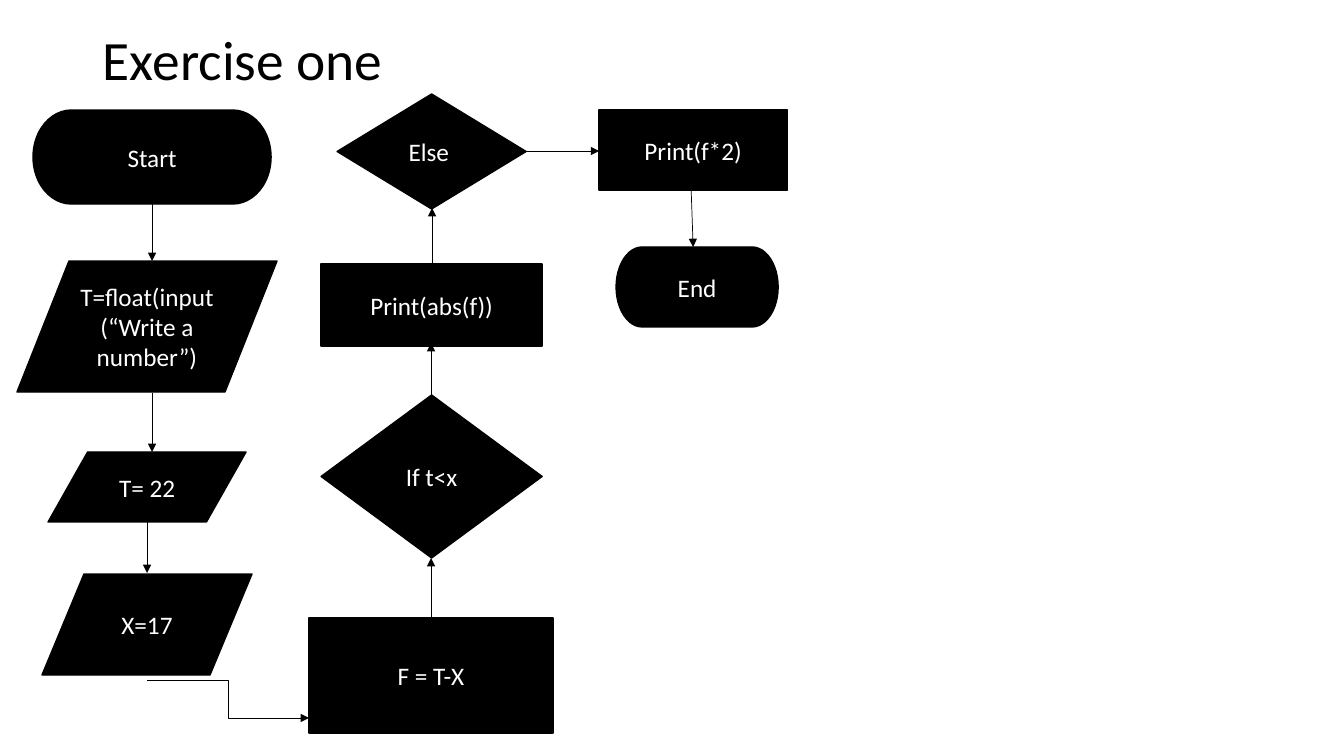
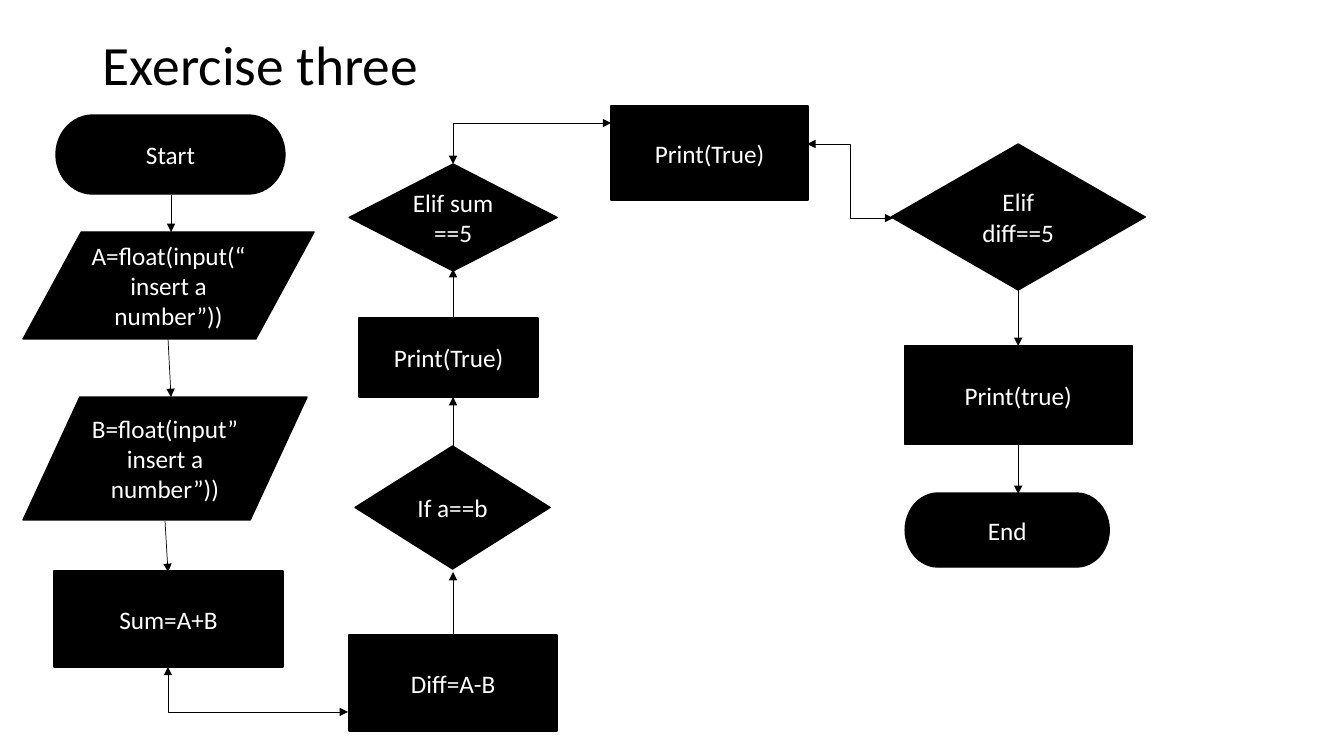
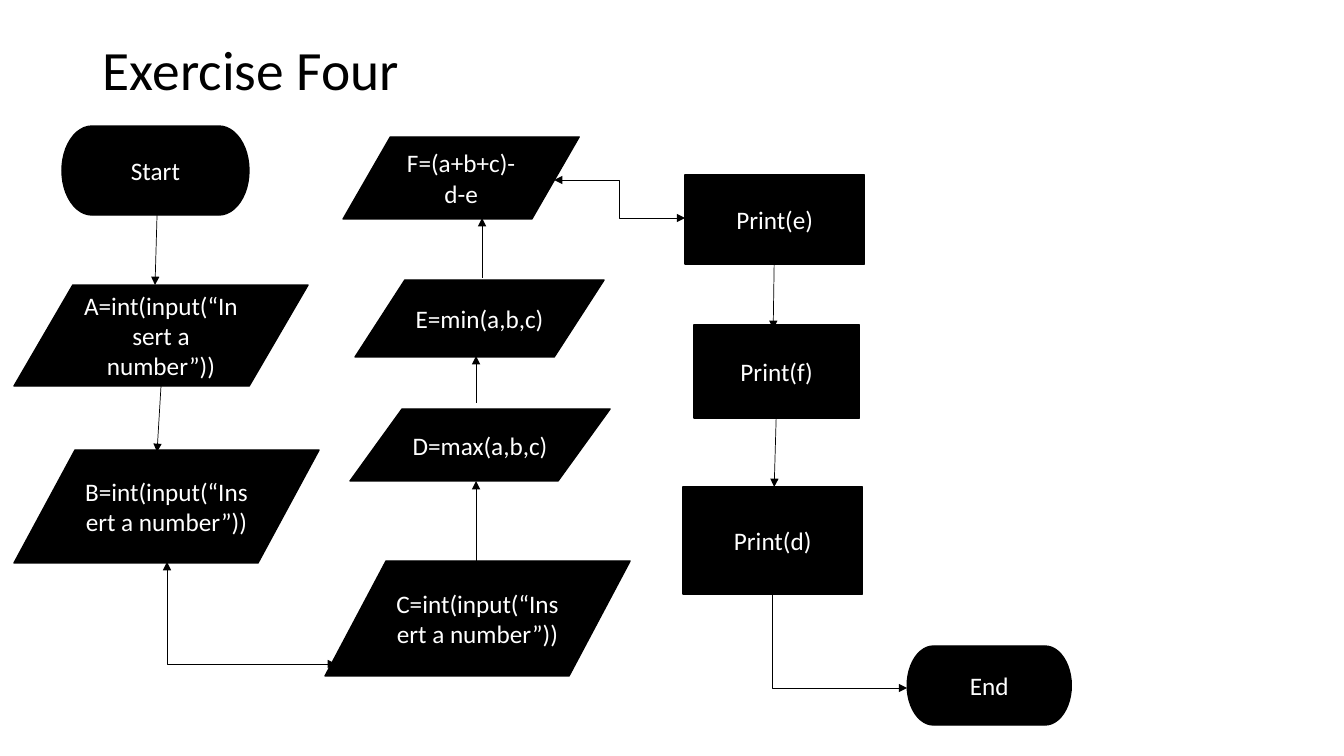
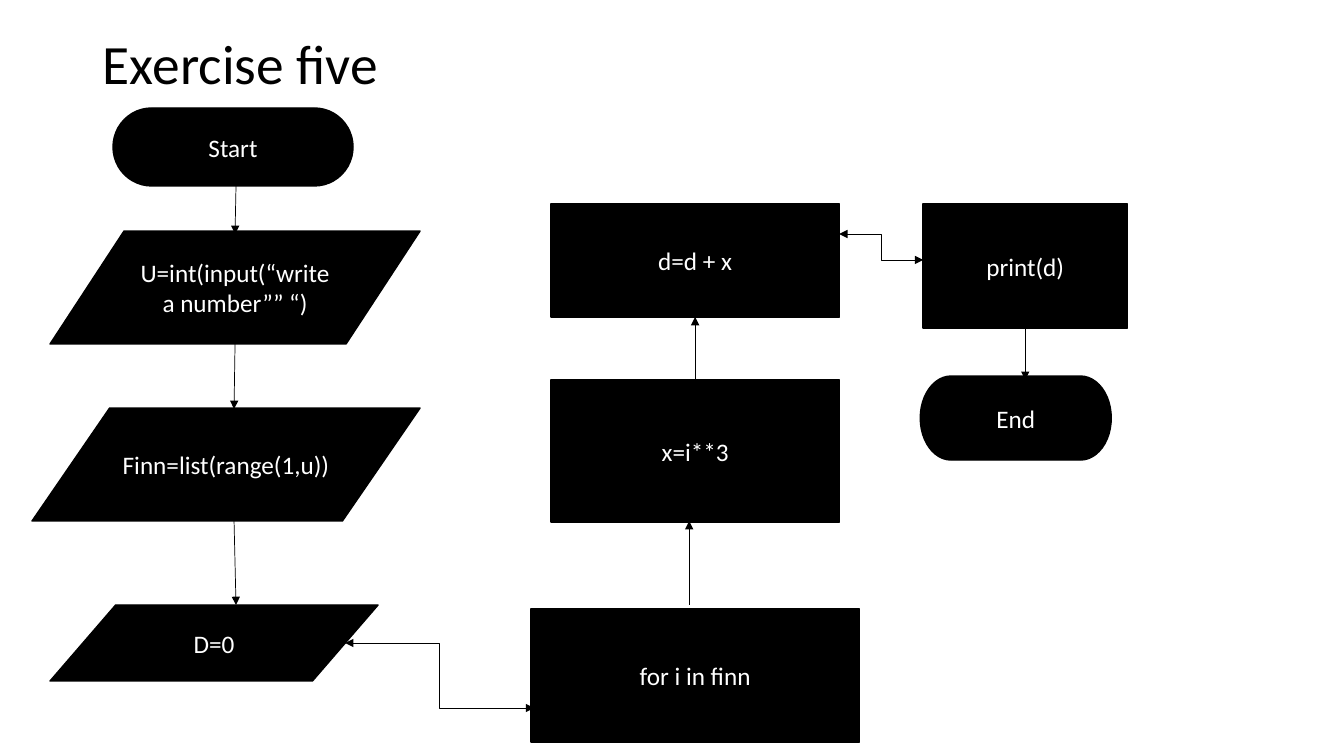
from lxml import etree
from pptx import Presentation
from pptx.dml.color import RGBColor
from pptx.enum.shapes import MSO_CONNECTOR, MSO_SHAPE
from pptx.enum.text import MSO_ANCHOR, PP_ALIGN
from pptx.oxml.ns import qn
from pptx.util import Emu, Inches, Pt

TERMINAL = MSO_SHAPE.FLOWCHART_TERMINATOR
DATA = MSO_SHAPE.FLOWCHART_DATA
PROCESS = MSO_SHAPE.FLOWCHART_PROCESS
DECISION = MSO_SHAPE.FLOWCHART_DECISION
STRAIGHT = MSO_CONNECTOR.STRAIGHT
ELBOW = MSO_CONNECTOR.ELBOW
MIDDLE = MSO_ANCHOR.MIDDLE
CENTER = PP_ALIGN.CENTER
SCALE = 914400 / 100.8


def px(n):
    return Emu(round(n * SCALE))


def rgb(value):
    return RGBColor.from_string(value)


class Flowchart:
    font = "Calibri"
    ink = "000000"
    paper = "FFFFFF"
    title_size = 39.6
    node_size = 18
    border = 1
    stroke = 0.5

    def __init__(self, prs):
        self.prs = prs
        self.s = None

    def slide(self, title, top, height):
        self.s = self.prs.slides.add_slide(self.prs.slide_layouts[6])
        sp = self.s.shapes.add_textbox(px(93), px(top), px(1159), px(height))
        self.set_text(sp.text_frame, title, self.title_size, self.ink)
        sp.text_frame.paragraphs[0].line_spacing = 0.9

    def set_text(self, tf, text, size, color):
        tf.word_wrap = True
        tf.vertical_anchor = MIDDLE
        tf.text = text
        font = tf.paragraphs[0].runs[0].font
        font.name = self.font
        font.size = Pt(size)
        font.color.rgb = rgb(color)

    def node(self, kind, text, x, y, w, h):
        sp = self.s.shapes.add_shape(kind, px(x), px(y), px(w), px(h))
        sp.shadow.inherit = False
        sp.fill.solid()
        sp.fill.fore_color.rgb = rgb(self.ink)
        sp.line.color.rgb = rgb(self.ink)
        sp.line.width = Pt(self.border)
        self.set_text(sp.text_frame, text, self.node_size, self.paper)
        sp.text_frame.paragraphs[0].alignment = CENTER

    def connect(self, kind, x1, y1, x2, y2, ends):
        c = self.s.shapes.add_connector(kind, px(x1), px(y1), px(x2), px(y2))
        c.line.color.rgb = rgb(self.ink)
        c.line.width = Pt(self.stroke)
        ln = c.element.spPr.find(qn("a:ln"))
        for end in ends:
            etree.SubElement(ln, qn(f"a:{end}"), type="triangle")
        etree.SubElement(c.element.spPr, qn("a:effectLst"))
        return c

    def arrow(self, x1, y1, x2, y2):
        self.connect(STRAIGHT, x1, y1, x2, y2, ["tailEnd"])

    def step(self, x1, y1, x2, y2, both=True):
        ends = ["headEnd", "tailEnd"] if both else ["tailEnd"]
        self.connect(ELBOW, x1, y1, x2, y2, ends)

    def corner(self, x1, y1, x2, y2, both=True):
        ends = ["headEnd", "tailEnd"] if both else ["headEnd"]
        c = self.connect(ELBOW, x2, y2, x1, y1, ends)
        c.element.spPr.find(qn("a:prstGeom")).set("prst", "bentConnector2")


def exercise_one(f):
    f.slide("Exercise one", 28, 70)
    f.node(TERMINAL, "Start", 33, 110, 238, 94)
    f.arrow(152, 204, 152, 261)
    f.node(DATA, "T=float(input(“Write a number”)", 17, 261, 260, 131)
    f.arrow(152, 393, 152, 452)
    f.node(DATA, "T= 22", 48, 452, 198, 70)
    f.arrow(147, 521, 147, 573)
    f.node(DATA, "X=17", 42, 574, 210, 101)
    f.step(147, 680, 309, 718, both=False)
    f.node(PROCESS, "F = T-X", 309, 618, 244, 115)
    f.arrow(431, 618, 431, 558)
    f.node(DECISION, "If t<x", 321, 395, 221, 163)
    f.arrow(431, 395, 431, 343)
    f.node(PROCESS, "Print(abs(f))", 321, 264, 221, 82)
    f.arrow(432, 264, 432, 208)
    f.node(DECISION, "Else ", 337, 94, 189, 115)
    f.arrow(526, 151, 599, 151)
    f.node(PROCESS, "Print(f*2)", 599, 110, 188, 80)
    f.arrow(691, 190, 693, 247)
    f.node(TERMINAL, "End", 616, 247, 162, 80)


def exercise_three(f):
    f.slide("Exercise three", 40, 56)
    f.node(TERMINAL, "Start", 56, 115, 229, 79)
    f.arrow(171, 195, 171, 232)
    f.node(DATA, "A=float(input(“insert a number”))", 23, 232, 291, 107)
    f.arrow(168, 339, 171, 397)
    f.node(DATA, "B=float(input”insert a number”))", 23, 397, 284, 123)
    f.arrow(165, 521, 168, 572)
    f.node(PROCESS, "Sum=A+B", 54, 571, 229, 96)
    f.corner(168, 667, 348, 712)
    f.node(PROCESS, "Diff=A-B", 349, 635, 208, 96)
    f.arrow(453, 635, 453, 572)
    f.node(DECISION, "If a==b", 355, 446, 195, 123)
    f.arrow(453, 446, 453, 397)
    f.node(PROCESS, "Print(True)", 359, 318, 179, 79)
    f.arrow(453, 318, 453, 269)
    f.node(DECISION, "Elif sum ==5", 349, 164, 208, 107)
    f.corner(453, 164, 611, 123)
    f.node(PROCESS, "Print(True)", 611, 106, 197, 94)
    f.step(807, 144, 893, 218)
    f.node(DECISION, "Elif diff==5", 891, 144, 254, 146)
    f.arrow(1018, 290, 1018, 346)
    f.node(PROCESS, "Print(true)", 904, 346, 228, 98)
    f.arrow(1018, 444, 1018, 494)
    f.node(TERMINAL, "End", 905, 493, 204, 74)


def exercise_four(f):
    f.slide("Exercise Four", 40, 65)
    f.node(TERMINAL, "Start", 62, 126, 187, 89)
    f.arrow(157, 215, 155, 285)
    f.node(DATA, "A=int(input(“Insert a number”))", 14, 285, 294, 101)
    f.arrow(161, 386, 157, 452)
    f.node(DATA, "B=int(input(“Insert a number”))", 14, 450, 305, 113)
    f.corner(167, 562, 336, 664)
    f.node(DATA, "C=int(input(“Insert a number”))", 325, 561, 305, 115)
    f.arrow(476, 562, 476, 481)
    f.node(DATA, "D=max(a,b,c)", 350, 409, 260, 72)
    f.arrow(476, 403, 476, 356)
    f.node(DATA, "E=min(a,b,c)", 355, 280, 249, 77)
    f.arrow(482, 278, 482, 218)
    f.node(DATA, "F=(a+b+c)-d-e", 343, 137, 236, 82)
    f.step(554, 180, 685, 218)
    f.node(PROCESS, "Print(e)", 685, 175, 179, 89)
    f.arrow(774, 263, 773, 329)
    f.node(PROCESS, "Print(f)", 694, 325, 165, 93)
    f.arrow(776, 418, 774, 487)
    f.node(PROCESS, "Print(d)", 683, 487, 179, 107)
    f.corner(772, 594, 907, 688, both=False)
    f.node(TERMINAL, "End", 907, 646, 164, 79)


def exercise_five(f):
    f.slide("Exercise five", 40, 53)
    f.node(TERMINAL, "Start", 113, 108, 240, 78)
    f.arrow(236, 185, 235, 234)
    f.node(DATA, "U=int(input(“write a number”” “)", 50, 231, 370, 113)
    f.arrow(235, 344, 234, 409)
    f.node(DATA, "Finn=list(range(1,u))", 32, 408, 388, 113)
    f.arrow(234, 521, 236, 605)
    f.node(DATA, "D=0", 50, 605, 328, 76)
    f.step(345, 643, 534, 708)
    f.node(PROCESS, "for i in finn", 531, 609, 328, 133)
    f.arrow(689, 605, 689, 521)
    f.node(PROCESS, "x=i**3", 551, 380, 288, 142)
    f.arrow(695, 380, 695, 317)
    f.node(PROCESS, "d=d + x", 551, 204, 288, 113)
    f.step(839, 234, 923, 260)
    f.node(PROCESS, "print(d)", 923, 204, 204, 124)
    f.arrow(1025, 328, 1025, 380)
    f.node(TERMINAL, "End", 920, 376, 191, 84)


prs = Presentation()
prs.slide_width = Inches(13.33)
prs.slide_height = Inches(7.5)
flowchart = Flowchart(prs)
for build in (exercise_one, exercise_three, exercise_four, exercise_five):
    build(flowchart)
prs.save("out.pptx")
